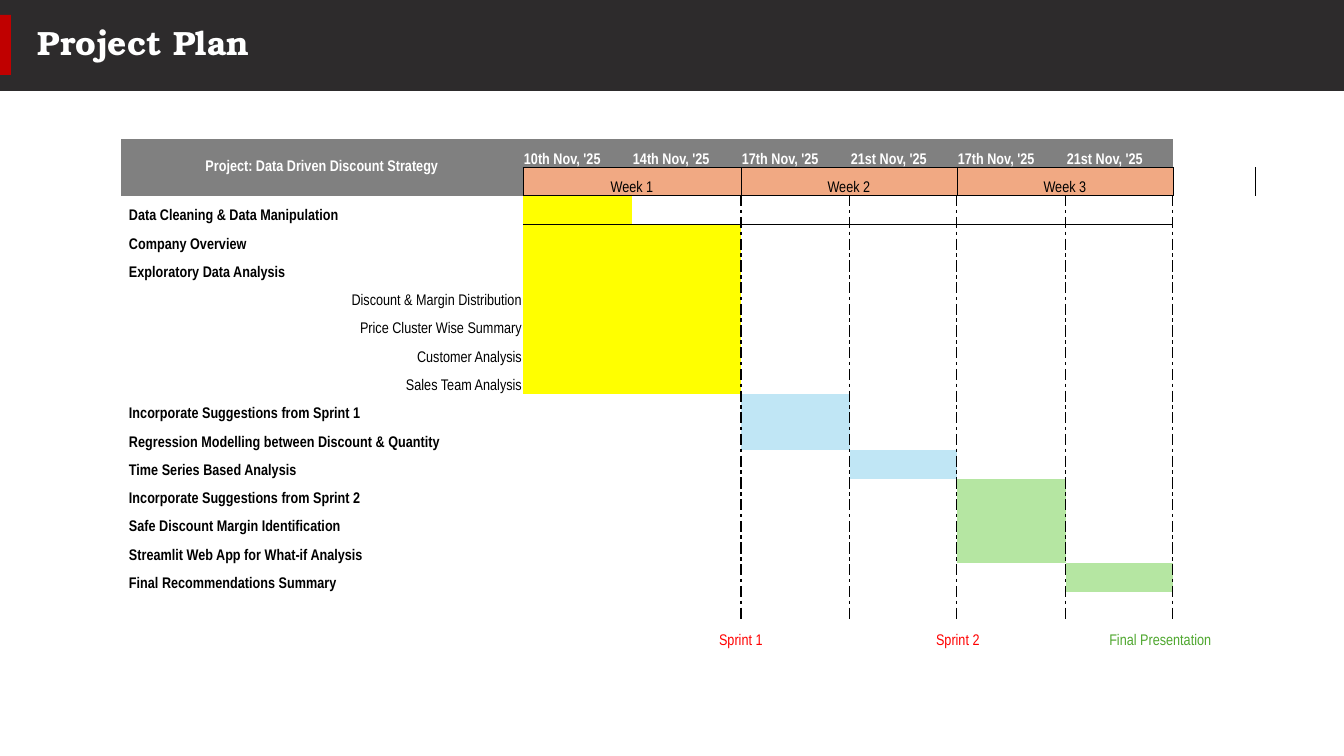
"""Build the Project Plan slide: a Gantt-style table under a dark title band."""
from lxml import etree
from pptx import Presentation
from pptx.dml.color import RGBColor
from pptx.enum.shapes import MSO_SHAPE
from pptx.enum.text import MSO_ANCHOR, PP_ALIGN
from pptx.oxml.ns import qn
from pptx.util import Emu, Pt

RECTANGLE = MSO_SHAPE.RECTANGLE
MIDDLE, BOTTOM = MSO_ANCHOR.MIDDLE, MSO_ANCHOR.BOTTOM
LEFT, CENTER, RIGHT = PP_ALIGN.LEFT, PP_ALIGN.CENTER, PP_ALIGN.RIGHT

TITLE = "Project Plan"
PROJECT = "Project: Data Driven Discount Strategy"
DATES = ["10th Nov, '25", "14th Nov, '25", "17th Nov, '25",
         "21st Nov, '25", "17th Nov, '25", "21st Nov, '25"]
WEEKS = ["Week 1", "Week 2", "Week 3"]
YELLOW, BLUE, GREEN = "FFFF00", "C0E6F5", "B5E6A2"
WHITE, BLACK, GREY, PEACH = "FFFFFF", "000000", "808080", "F1A983"
TASKS = [
    ("Data Cleaning & Data Manipulation", True, (1,), YELLOW),
    ("Company Overview", True, (1, 2), YELLOW),
    ("Exploratory Data Analysis", True, (1, 2), YELLOW),
    ("Discount & Margin Distribution", False, (1, 2), YELLOW),
    ("Price Cluster Wise Summary", False, (1, 2), YELLOW),
    ("Customer Analysis", False, (1, 2), YELLOW),
    ("Sales Team Analysis", False, (1, 2), YELLOW),
    ("Incorporate Suggestions from Sprint 1", True, (3,), BLUE),
    ("Regression Modelling between Discount & Quantity", True, (3,), BLUE),
    ("Time Series Based Analysis", True, (4,), BLUE),
    ("Incorporate Suggestions from Sprint 2", True, (5,), GREEN),
    ("Safe Discount Margin Identification", True, (5,), GREEN),
    ("Streamlit Web App for What-if Analysis", True, (5,), GREEN),
    ("Final Recommendations Summary", True, (6,), GREEN),
]
MILESTONES = [("Sprint 1", "FF0000"), ("Sprint 2", "FF0000"),
              ("Final Presentation", "4EA72E")]

COLUMNS = [402, 109, 109, 109, 107, 109, 107, 82]
TABLE_LEFT, TABLE_TOP, TABLE_HEIGHT = 121, 139, 538
FIRST_TASK = 2
MILESTONE_ROW = FIRST_TASK + len(TASKS) + 1
ROWS = MILESTONE_ROW + 2
WEEK_STARTS, WEEK_ENDS = (1, 3, 5), (2, 4, 6)
NO_STYLE = "{2D5ABB26-0587-4C30-8999-92F81FD0307C}"
THIN, DASHED = (0.5, "solid"), (1, "lgDashDot")
DASHED = (1, "dashDot")


def px(length):
    return Emu(round(length * 914400 / 100.8))


def color(value):
    return RGBColor.from_string(value)


def style_font(paragraph, name, size, value, bold):
    font = paragraph.font
    font.name, font.size, font.bold = name, Pt(size), bold
    font.color.rgb = color(value)


def add_block(slide, left, top, width, height, fill):
    shape = slide.shapes.add_shape(RECTANGLE, px(left), px(top), px(width), px(height))
    shape.shadow.inherit = False
    shape.fill.solid()
    shape.fill.fore_color.rgb = color(fill)
    shape.line.fill.background()


def add_title(slide):
    box = slide.shapes.add_textbox(px(28), px(15), px(1290), px(60))
    frame = box.text_frame
    frame.word_wrap = True
    frame.vertical_anchor = MIDDLE
    paragraph = frame.paragraphs[0]
    paragraph.text = TITLE
    paragraph.line_spacing = 0.9
    style_font(paragraph, "TeX Gyre Bonum", 24, WHITE, True)


def borders_for(row, column):
    if row == 0:
        return {"B": THIN} if 1 <= column <= 6 else {}
    if row == 1:
        return dict.fromkeys("LRTB", THIN) if 1 <= column <= 6 else (
            {"L": THIN} if column == 7 else {})
    borders = {}
    if row < MILESTONE_ROW:
        if column in (3, 5, 7):
            borders["L"] = DASHED
        if column in WEEK_ENDS:
            borders["R"] = DASHED
    if row == FIRST_TASK and 1 <= column <= 6:
        borders["T"] = THIN
    return borders


def fill_for(row, column):
    if row < FIRST_TASK:
        if column == 7:
            return None
        return GREY if row == 0 or column == 0 else PEACH
    if row < FIRST_TASK + len(TASKS):
        name, bold, bar, fill = TASKS[row - FIRST_TASK]
        return fill if column in bar else None
    return None


def format_cell(cell, row, column):
    cell.margin_left = cell.margin_right = cell.margin_top = px(1)
    cell.margin_bottom = 0
    cell.vertical_anchor = BOTTOM
    properties = cell._tc.get_or_add_tcPr()
    for side, (width, dash) in borders_for(row, column).items():
        line = etree.SubElement(properties, qn(f"a:ln{side}"), w=str(Pt(width)))
        solid = etree.SubElement(line, qn("a:solidFill"))
        etree.SubElement(solid, qn("a:srgbClr"), val=BLACK)
        etree.SubElement(line, qn("a:prstDash"), val=dash)
    fill = fill_for(row, column)
    if fill:
        cell.fill.solid()
        cell.fill.fore_color.rgb = color(fill)
    else:
        cell.fill.background()
    etree.SubElement(cell.text_frame.paragraphs[0]._p, qn("a:endParaRPr"), sz="1100")


def write(cell, text, value=BLACK, bold=False, align=LEFT):
    paragraph = cell.text_frame.paragraphs[0]
    paragraph.text = text
    paragraph.alignment = align
    style_font(paragraph, "Arial Narrow", 11, value, bold)


def add_plan(slide):
    frame = slide.shapes.add_table(ROWS, len(COLUMNS), px(TABLE_LEFT), px(TABLE_TOP),
                                   px(sum(COLUMNS)), px(TABLE_HEIGHT))
    table = frame.table
    table.first_row = table.horz_banding = False
    table._tbl.tblPr.find(qn("a:tableStyleId")).text = NO_STYLE
    for column, width in zip(table.columns, COLUMNS):
        column.width = px(width)
    for row in table.rows:
        row.height = px(TABLE_HEIGHT / ROWS)
    for row in range(ROWS):
        for column in range(len(COLUMNS)):
            format_cell(table.cell(row, column), row, column)

    heading = table.cell(0, 0)
    heading.merge(table.cell(1, 0))
    heading.vertical_anchor = MIDDLE
    write(heading, PROJECT, WHITE, True, CENTER)
    for column, date in enumerate(DATES, 1):
        write(table.cell(0, column), date, WHITE, True)
    for column, week in zip(WEEK_STARTS, WEEKS):
        cell = table.cell(1, column)
        cell.merge(table.cell(1, column + 1))
        write(cell, week, align=CENTER)
    for row, (name, bold, bar, fill) in enumerate(TASKS, FIRST_TASK):
        cell = table.cell(row, 0)
        cell.margin_left = px(8)
        write(cell, name, bold=bold, align=LEFT if bold else RIGHT)
    for column, (name, value) in zip(WEEK_ENDS, MILESTONES):
        cell = table.cell(MILESTONE_ROW, column)
        cell.merge(table.cell(MILESTONE_ROW, column + 1))
        write(cell, name, value, align=CENTER)


def main():
    presentation = Presentation()
    presentation.slide_width, presentation.slide_height = px(1344), px(756)
    slide = presentation.slides.add_slide(presentation.slide_layouts[6])
    add_block(slide, 0, 0, 1344, 91, "2D2B2C")
    add_block(slide, 0, 15, 11, 60, "C00000")
    add_title(slide)
    add_plan(slide)
    presentation.save("out.pptx")


if __name__ == "__main__":
    main()
